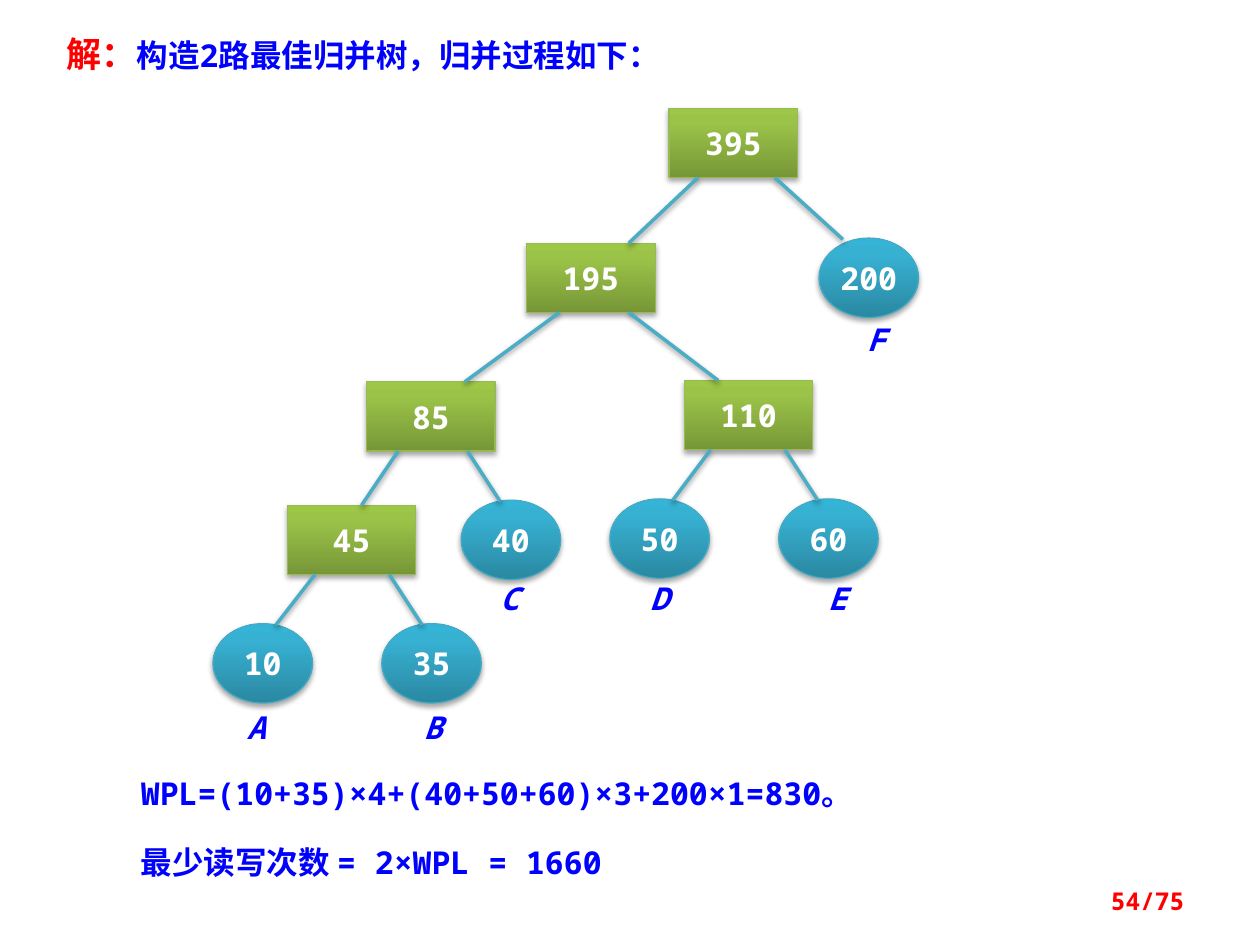
import copy
from dataclasses import dataclass

import pptx
import pptx.dml.color
import pptx.enum.shapes
import pptx.enum.text
import pptx.oxml
import pptx.oxml.ns
import pptx.util

SHAPE = pptx.enum.shapes.MSO_SHAPE
ALIGN = pptx.enum.text.PP_ALIGN
ANCHOR = pptx.enum.text.MSO_ANCHOR


@dataclass(frozen=True)
class Theme:
    ink: str = "0000FF"
    accent: str = "FF0000"
    on_node: str = "FFFFFF"
    edge: str = "4BACC6"
    merged: tuple = ("779737", "9BC348", "9DC746")
    merged_line: str = "98B955"
    leaf: tuple = ("2A88A2", "37B1D2", "34B4D6")
    leaf_line: str = "46AAC5"
    lead: int = 20
    body: int = 18
    small: int = 14
    mono: str = "Noto Sans Mono"
    cjk: str = "Noto Sans CJK SC"


def rgb(value):
    return pptx.dml.color.RGBColor.from_string(value)


def add_run(p, text, size, color, font, ea, italic=False):
    r = p.add_run()
    r.text = text
    r.font.size = pptx.util.Pt(size)
    r.font.bold = True
    r.font.italic = italic
    r.font.color.rgb = rgb(color)
    r.font.name = font
    latin = r.font._element.find(pptx.oxml.ns.qn("a:latin"))
    latin.addnext(pptx.oxml.parse_xml(
        f'<a:ea {pptx.oxml.ns.nsdecls("a")} typeface="{ea}"/>'))


def add_shadow(sp, distance, alpha):
    sp._element.spPr.append(pptx.oxml.parse_xml(
        f'<a:effectLst {pptx.oxml.ns.nsdecls("a")}>'
        f'<a:outerShdw blurRad="40000" dist="{distance}" dir="5400000" rotWithShape="0">'
        f'<a:srgbClr val="000000"><a:alpha val="{alpha}000"/></a:srgbClr>'
        '</a:outerShdw></a:effectLst>'))


class Deck:
    """Places elements on a grid of 100 columns by 75 rows."""
    COLS, ROWS = 100, 75
    BOX, OVAL = (10.2, 5.5), (7.9, 6.3)

    def __init__(self, theme):
        self.theme = theme
        self.prs = pptx.Presentation()
        self.prs.slide_width = pptx.util.Inches(10)
        self.prs.slide_height = pptx.util.Inches(7.5)
        self.s = self.prs.slides.add_slide(self.prs.slide_layouts[6])

    def x(self, col):
        return round(self.prs.slide_width * col / self.COLS)

    def y(self, row):
        return round(self.prs.slide_height * row / self.ROWS)

    def area(self, col, row, width, height):
        return self.x(col), self.y(row), self.x(width), self.y(height)

    def text(self, col, row, width, runs, height=4, align=ALIGN.LEFT, anchor=ANCHOR.TOP):
        sp = self.s.shapes.add_textbox(*self.area(col, row, width, height))
        tf = sp.text_frame
        tf.word_wrap = True
        tf.vertical_anchor = anchor
        p = tf.paragraphs[0]
        p.alignment = align
        for text, style in runs:
            base = dict(size=self.theme.body, color=self.theme.ink,
                        font=self.theme.mono, ea=self.theme.cjk)
            add_run(p, text, **(base | style))

    def node(self, text, col, row, leaf):
        t = self.theme
        kind, size = (SHAPE.OVAL, self.OVAL) if leaf else (SHAPE.RECTANGLE, self.BOX)
        sp = self.s.shapes.add_shape(kind, *self.area(col, row, *size))
        # Gradient from dark at the bottom to light at the top
        sp.fill.gradient()
        sp.fill.gradient_angle = 90
        last = sp.fill.gradient_stops[1]._gs
        last.addnext(copy.deepcopy(last))
        colors = t.leaf if leaf else t.merged
        for stop, color, place in zip(sp.fill.gradient_stops, colors, (0, 0.8, 1)):
            stop.color.rgb = rgb(color)
            stop.position = place
        sp.line.color.rgb = rgb(t.leaf_line if leaf else t.merged_line)
        sp.line.width = pptx.util.Pt(0.75)
        add_shadow(sp, 23000, 35)
        tf = sp.text_frame
        tf.word_wrap = False
        tf.vertical_anchor = ANCHOR.MIDDLE
        p = tf.paragraphs[0]
        p.alignment = ALIGN.CENTER
        add_run(p, text, t.body, t.on_node, t.mono, t.cjk)

    def edge(self, x1, y1, x2, y2):
        line = self.s.shapes.add_connector(
            pptx.enum.shapes.MSO_CONNECTOR.STRAIGHT,
            self.x(x1), self.y(y1), self.x(x2), self.y(y2))
        line.line.color.rgb = rgb(self.theme.edge)
        line.line.width = pptx.util.Pt(2)
        add_shadow(line, 20000, 38)


# Merged nodes: value -> left column, top row
MERGED = {"395": (53.1, 8.6), "195": (41.8, 19.3), "85": (29.1, 30.3),
          "110": (54.3, 30.2), "45": (22.8, 40.1)}
# Leaves: value -> left column, top row, label, label column, label row
LEAVES = {"200": (65, 18.9, "F", 67.2, 24.9), "40": (36.6, 39.7, "C", 38.1, 45.5),
          "50": (48.4, 39.6, "D", 50, 45.5), "60": (61.8, 39.6, "E", 64.1, 45.5),
          "10": (16.9, 49.5, "A", 18, 55.7), "35": (30.3, 49.5, "B", 32, 55.7)}
# Edges: parent, start column, child, end column
EDGES = [("395", 55.4, "195", 49.9), ("395", 61.5, "200", 66.9),
         ("195", 44.4, "85", 36.9), ("195", 49.9, "110", 57),
         ("85", 31.6, "45", 28.7), ("85", 37.1, "40", 39.7),
         ("110", 56.4, "50", 53.4), ("110", 62.3, "60", 64.9),
         ("45", 25, "10", 21.9), ("45", 30.9, "35", 33.5)]


def main():
    t = Theme()
    deck = Deck(t)

    # Heading
    deck.text(4.3, 2.1, 68.3, [
        ("解：", dict(size=t.lead, color=t.accent, font=t.cjk)),
        ("构造2路最佳归并树，归并过程如下：", {})], height=4.4)

    # Merge tree
    for value, (col, row) in MERGED.items():
        deck.node(value, col, row, leaf=False)
    for value, (col, row, label, label_col, label_row) in LEAVES.items():
        deck.node(value, col, row, leaf=True)
        deck.text(label_col, label_row, 4.7, [(label, dict(italic=True))],
                  align=ALIGN.CENTER)
    tops = {value: place[1] for value, place in (MERGED | LEAVES).items()}
    for parent, start, child, end in EDGES:
        dip = 0.1 if child in LEAVES else 0
        deck.edge(start, tops[parent] + deck.BOX[1], end, tops[child] + dip)

    # Results
    deck.text(10.2, 60.9, 72.7, [("WPL=(10+35)×4+(40+50+60)×3+200×1=830。", {})])
    deck.text(10.2, 66.4, 69.5, [("最少读写次数 = 2×WPL = 1660", {})])

    # Page number
    deck.text(71.7, 69.5, 23.3, [("54/75", dict(size=t.small, color=t.accent))],
              align=ALIGN.RIGHT, anchor=ANCHOR.MIDDLE)
    deck.prs.save("out.pptx")


if __name__ == "__main__":
    main()
